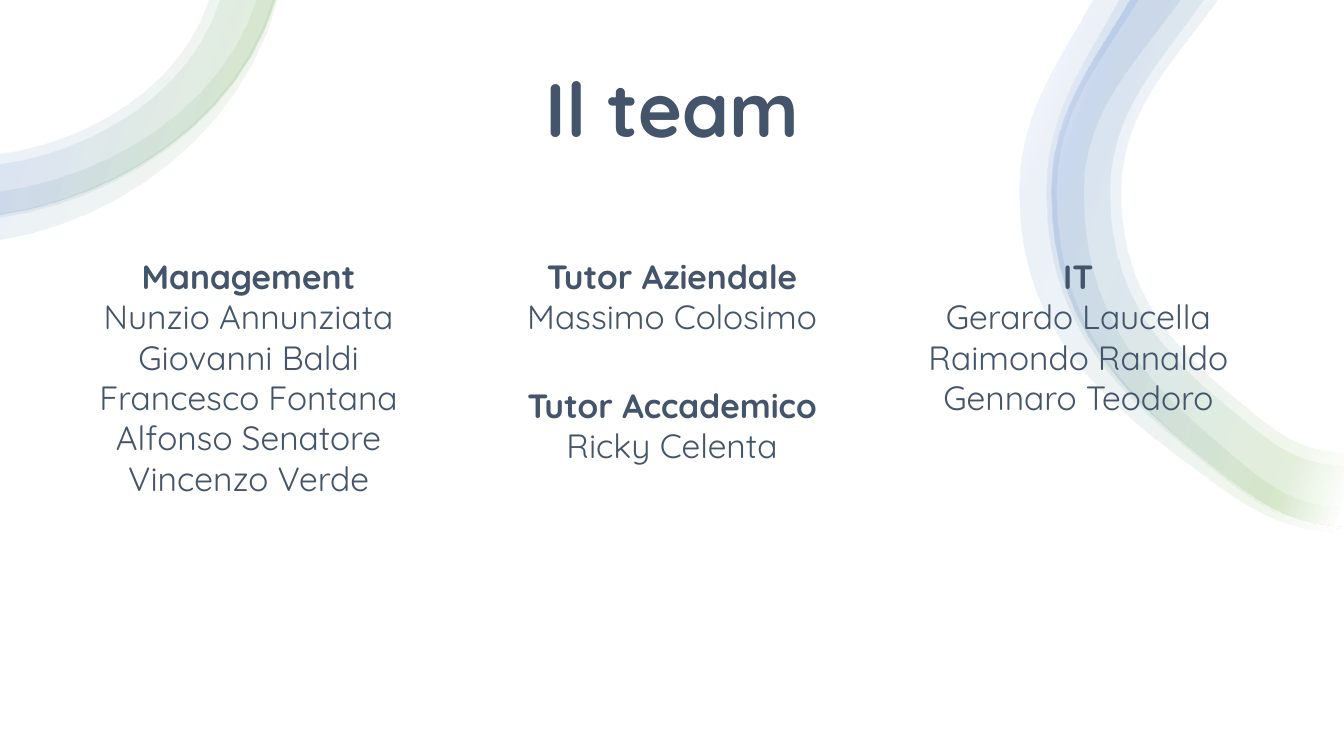
from lxml import etree
from pptx import Presentation
from pptx.dml.color import RGBColor
from pptx.enum.text import MSO_ANCHOR, MSO_AUTO_SIZE, PP_ALIGN
from pptx.oxml.ns import nsdecls
from pptx.util import Inches, Pt

BOTTOM = MSO_ANCHOR.BOTTOM
GROW = MSO_AUTO_SIZE.SHAPE_TO_FIT_TEXT
NO_FIT = MSO_AUTO_SIZE.NONE
CENTER = PP_ALIGN.CENTER

COLORS = {"text": "44546A", "white": "FFFFFF", "green": "70AD47", "blue": "4472C4"}
FONT = "Quicksand"
WIDTH, HEIGHT = 13.33, 7.5
CURVE_STEPS = 12

# Ribbon gradient: position in percent and colour, all at 10 % opacity
RIBBON_STOPS = [(0, "white"), (2, "white"), (16, "green"), (85, "blue"), (100, "white")]
RIBBON_ANGLE = 200

# Bezier control points as fractions of the width and height an edge spans
LEFT_ARC = [(0, 1), (0.43, 0.92), (0.87, 0.56), (1, 0)]
RIGHT_TOP = [(1, 0), (0.55, 0.32), (0, 0.58), (0, 1)]
RIGHT_MIDDLE = [(0, 0), (0, 0.34), (0.17, 0.55), (0.48, 0.77)]
RIGHT_BOTTOM = [(0.48, 0.77), (0.68, 0.91), (0.77, 0.99), (1, 1)]
RIGHT_BEND_Y = 1.9

# Outer and inner edge of each band: x on the top border, y on the left border
LEFT_BANDS = [
    ((2.75, 2.38), (2.7, 2.12)),
    ((2.73, 2.13), (2.07, 1.53)),
    ((2.73, 2.16), (2.54, 1.9)),
    ((2.72, 2.13), (2.18, 1.63)),
]
# Outer and inner edge: x on the top border, x at the bend, y on the right border
RIGHT_BANDS = [
    ((10.84, 10.11, 5.28), (11.29, 10.48, 5.24)),
    ((11.1, 10.38, 5.23), (11.71, 10.75, 5.03)),
    ((11.21, 10.43, 5.22), (11.94, 11.01, 4.62)),
    ((11.21, 10.43, 5.22), (12.08, 11.12, 4.49)),
]

COLUMN_WIDTH = 4.03
TEAM_GROUPS = [
    (0.45, 2.49, 2.52, "Management",
     ["Nunzio Annunziata", "Giovanni Baldi", "Francesco Fontana", "Alfonso Senatore",
      "Vincenzo Verde"]),
    (8.68, 2.49, 1.72, "IT", ["Gerardo Laucella", "Raimondo Ranaldo", "Gennaro Teodoro"]),
    (4.65, 2.49, 0.91, "Tutor Aziendale", ["Massimo Colosimo"]),
    (4.65, 3.77, 0.91, "Tutor Accademico", ["Ricky Celenta"]),
]


def curve_points(controls, left, top, width, height):
    """Sample a cubic Bezier curve stretched over the given box."""
    points = []
    for step in range(CURVE_STEPS + 1):
        t = step / CURVE_STEPS
        x, y = [
            a * (1 - t)**3 + 3 * b * t * (1 - t)**2 + 3 * c * t**2 * (1 - t) + d * t**3
            for a, b, c, d in zip(*controls)
        ]
        points.append((Inches(left + x * width), Inches(top + y * height)))
    return points


def write_line(paragraph, text, size=24, bold=False, spacing=1.0):
    paragraph.alignment = CENTER
    paragraph.line_spacing = spacing
    run = paragraph.add_run()
    run.text = text
    run.font.name = FONT
    run.font.size = Pt(size)
    run.font.bold = bold
    run.font.color.rgb = RGBColor.from_string(COLORS["text"])


prs = Presentation()
prs.slide_width, prs.slide_height = Inches(WIDTH), Inches(HEIGHT)
slide = prs.slides.add_slide(prs.slide_layouts[5])
slide.background.fill.solid()
slide.background.fill.fore_color.rgb = RGBColor.from_string(COLORS["white"])

# Outlines run along the outer edge and back along the inner one
outlines = []
for band_edges in LEFT_BANDS:
    outer, inner = [curve_points(LEFT_ARC, 0, 0, x, y) for x, y in band_edges]
    outlines.append(outer + inner[::-1])
for band_edges in RIGHT_BANDS:
    outer, inner = [
        curve_points(RIGHT_TOP, bend_x, 0, top_x - bend_x, RIGHT_BEND_Y)
        + [point for controls in (RIGHT_MIDDLE, RIGHT_BOTTOM)
           for point in curve_points(controls, bend_x, RIGHT_BEND_Y,
                                     WIDTH - bend_x, end_y - RIGHT_BEND_Y)]
        for top_x, bend_x, end_y in band_edges
    ]
    outlines.append(outer + inner[::-1])

stops = "".join(
    f'<a:gs pos="{position * 1000}"><a:srgbClr val="{COLORS[color]}">'
    f'<a:alpha val="10000"/></a:srgbClr></a:gs>'
    for position, color in RIBBON_STOPS
)
gradient_xml = (
    f'<a:gradFill {nsdecls("a")} rotWithShape="1"><a:gsLst>{stops}</a:gsLst>'
    f'<a:lin ang="{RIBBON_ANGLE * 60000}" scaled="0"/></a:gradFill>'
)
for outline in outlines:
    builder = slide.shapes.build_freeform(*outline[0])
    builder.add_line_segments(outline[1:], close=True)
    band = builder.convert_to_shape()
    band.shadow.inherit = False
    band.line.fill.background()
    band.fill.background()
    no_fill = band._element.spPr.find("{*}noFill")
    no_fill.getparent().replace(no_fill, etree.fromstring(gradient_xml))

title = slide.shapes.title
title.left, title.top = Inches(1.6), Inches(0.79)
title.width, title.height = Inches(10.14), Inches(0.79)
title.text_frame.auto_size = NO_FIT
title.text_frame.vertical_anchor = BOTTOM
write_line(title.text_frame.paragraphs[0], "Il team", size=54, bold=True, spacing=0.9)

for left, top, height, role, members in TEAM_GROUPS:
    group = slide.shapes.add_textbox(
        Inches(left), Inches(top), Inches(COLUMN_WIDTH), Inches(height))
    frame = group.text_frame
    frame.word_wrap = True
    frame.auto_size = GROW
    write_line(frame.paragraphs[0], role, bold=True)
    for member in members:
        write_line(frame.add_paragraph(), member)

prs.save("out.pptx")
